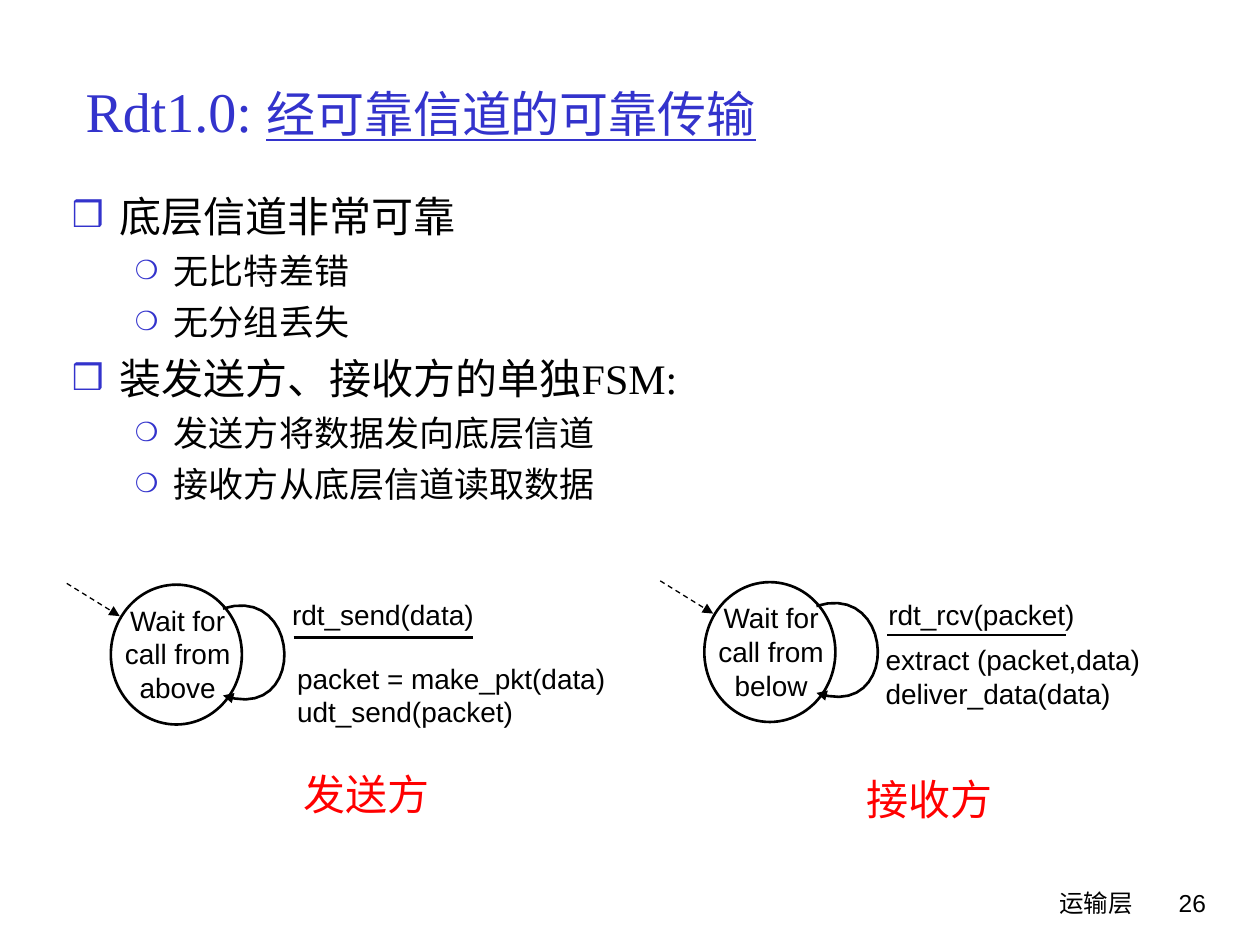
from lxml import etree
from pptx import Presentation
from pptx import util as u
from pptx.dml import color as col
from pptx.enum import dml, shapes, text
from pptx.oxml import ns

INKS = {"ink": "000000", "blue": "3333CC", "red": "FF0000", "paper": "FFFFFF"}
LEFT, MID, RIGHT = text.PP_ALIGN.LEFT, text.PP_ALIGN.CENTER, text.PP_ALIGN.RIGHT
ROMAN, SANS, COMIC = "Times New Roman", "Arial", "Comic Neue"


def rgb(name):
    return col.RGBColor.from_string(INKS[name])


def put(para, words, size=16, font=SANS, ink="ink", under=None):
    run = para.add_run()
    run.text = words
    run.font.size = u.Pt(size)
    run.font.name = font
    run.font.color.rgb = rgb(ink)
    run.font.underline = under


def node(parent, tag, **attrs):
    return etree.SubElement(parent, ns.qn("a:" + tag), **attrs)


class Deck:
    """Hold the style and the current slide, and add each kind of element."""

    def __init__(self):
        self.file = Presentation()
        self.file.slide_width, self.file.slide_height = u.Inches(10), u.Inches(7.5)
        self.slide = self.file.slides.add_slide(self.file.slide_layouts[1])
        self.items = self.slide.shapes

    def place(self, shape, box):
        shape.left, shape.top, shape.width, shape.height = map(u.Inches, box)
        shape.text_frame.auto_size = text.MSO_AUTO_SIZE.NONE
        return shape.text_frame

    def title(self, box, runs):
        para = self.place(self.items.title, box).paragraphs[0]
        para.alignment = LEFT
        for words, form in runs:
            put(para, words, font=ROMAN, ink="blue", **form)

    def bullets(self, box, rows):
        frame = self.place(self.slide.placeholders[1], box)
        frame.vertical_anchor = text.MSO_ANCHOR.TOP
        kinds = [(24, 0.38, 0.38, 6, "❒", 85), (20, 0.81, 0.31, 5, "❍", 75)]
        for i, (level, words) in enumerate(rows):
            size, left, hang, gap, mark, scale = kinds[level]
            para = frame.add_paragraph() if i else frame.paragraphs[0]
            para.level = level
            props = para._p.get_or_add_pPr()
            props.set("marL", str(u.Inches(left)))
            props.set("indent", str(-u.Inches(hang)))
            node(node(props, "buClr"), "srgbClr", val=INKS["blue"])
            node(props, "buSzPct", val=str(scale * 1000))
            node(props, "buChar", char=mark)
            para.space_before = u.Pt(gap if i else 0)
            put(para, words, size, ROMAN)

    def label(self, box, words, align=LEFT, wrap=True, **form):
        frame = self.items.add_textbox(*map(u.Inches, box)).text_frame
        frame.word_wrap = wrap
        for i, row in enumerate(words.split("\n")):
            para = frame.add_paragraph() if i else frame.paragraphs[0]
            para.alignment = align
            put(para, row, **form)

    def stroke(self, shape, width=1.5, dash=False, arrow=False):
        shape.line.color.rgb = rgb("ink")
        shape.line.width = u.Pt(width)
        if dash:
            shape.line.dash_style = dml.MSO_LINE.DASH
        if arrow:
            node(shape.element.spPr.get_or_add_ln(), "tailEnd", type="triangle")

    def state(self, box):
        shape = self.items.add_shape(shapes.MSO_SHAPE.OVAL, *map(u.Inches, box))
        shape.shadow.inherit = False
        shape.fill.solid()
        shape.fill.fore_color.rgb = rgb("paper")
        self.stroke(shape)

    def line(self, ends, **form):
        link = self.items.add_connector(shapes.MSO_CONNECTOR.STRAIGHT, *map(u.Inches, ends))
        node(link.element.spPr, "effectLst")
        self.stroke(link, **form)

    def loop(self, knots, steps=20):
        dots = []
        for i in range(steps + 1):
            t = i / steps
            parts = [(1 - t) ** 3, 3 * t * (1 - t) ** 2, 3 * t * t * (1 - t), t ** 3]
            dots.append([u.Inches(sum(p * k[d] for p, k in zip(parts, knots))) for d in (0, 1)])
        pen = self.items.build_freeform(*dots[0])
        pen.add_line_segments(dots[1:], close=False)
        shape = pen.convert_to_shape()
        shape.shadow.inherit = False
        shape.fill.background()
        self.stroke(shape, arrow=True)

    def machine(self, x, y, words):
        self.state((x + 0.35, y + 0.01, 1.04, 1.11))
        self.label((x + 0.28, y + 0.11, 1.2, 1), words, MID)
        knots = [(1.24, 0.2), (1.87, 0), (1.91, 1.12), (1.24, 0.89)]
        self.loop([(x + a, y + b) for a, b in knots])
        self.line((x + 1.8, y + 0.43, x + 3.22, y + 0.43))
        self.line((x, y, x + 0.42, y + 0.26), width=0.75, dash=True, arrow=True)


def main():
    deck = Deck()
    deck.title((0.58, 0.25, 8.75, 1.25), [
        ("Rdt1.0: ", {"size": 32}),
        ("经可靠信道的可靠传输", {"size": 28, "under": True}),
    ])
    deck.bullets((0.47, 1.46, 8.64, 3.3), [
        (0, "底层信道非常可靠"),
        (1, "无比特差错"),
        (1, "无分组丢失"),
        (0, "装发送方、接收方的单独FSM:"),
        (1, "发送方将数据发向底层信道"),
        (1, "接收方从底层信道读取数据"),
    ])
    deck.machine(0.53, 4.63, "Wait for call from above")
    deck.label((2.22, 4.69, 2.47, 0.47), "rdt_send(data)")
    deck.label((2.26, 5.2, 2.93, 0.65), "packet = make_pkt(data)\nudt_send(packet)")
    deck.machine(5.24, 4.61, "Wait for call from below")
    deck.label((6.95, 4.69, 1.68, 0.37), "rdt_rcv(packet)", MID, wrap=False)
    deck.label((6.93, 5.05, 2.72, 0.47), "extract (packet,data)\ndeliver_data(data)")
    for x, y, words in [(2.31, 6.05, "发送方"), (6.78, 6.09, "接收方")]:
        deck.label((x, y, 1.2, 0.5), words, MID, wrap=False, size=24, font=COMIC, ink="red")
    deck.label((5.92, 7, 3.17, 0.5), "运输层", RIGHT, size=14, font=COMIC)
    deck.label((8.93, 7, 0.74, 0.5), "26", RIGHT, size=14)
    deck.file.save("out.pptx")


if __name__ == "__main__":
    main()
